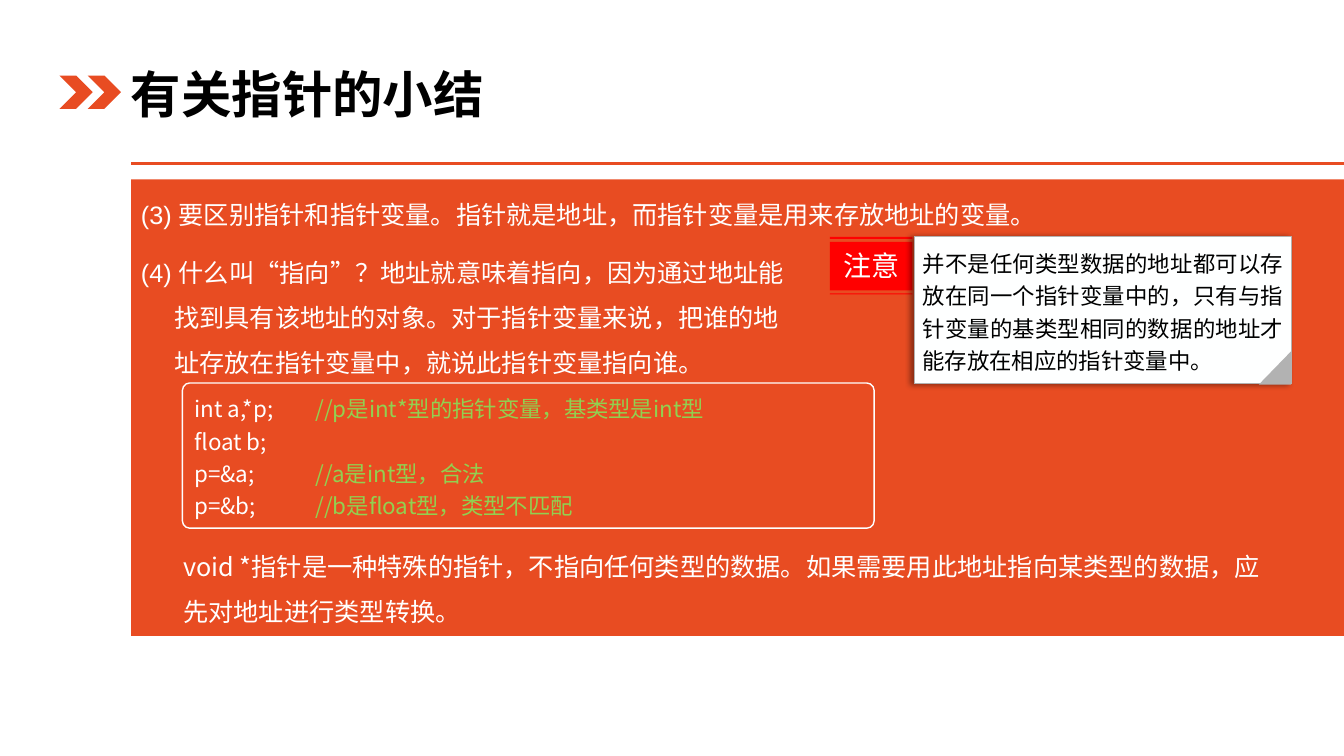
from lxml import etree
from pptx import Presentation
from pptx import util as u
from pptx.dml import color
from pptx.enum import shapes, text
from pptx.oxml import ns

theme = {
    "accent": "E84C22", "white": "FFFFFF", "paper": "FEFFFF", "black": "000000",
    "alert": "FF0000", "gray": "B2B2B2", "comment": "92D050",
    "latin": "Arial", "cjk": "Noto Sans CJK SC",
    "title": 36, "label": 20, "body": 18, "small": 16,
}
SHAPE, ALIGN, ANCHOR = shapes.MSO_SHAPE, text.PP_ALIGN, text.MSO_ANCHOR


def paint(part, fill=None, line=None, width=1):
    """Set fill and outline; None leaves them empty."""
    part.shadow.inherit = False
    if fill:
        part.fill.solid()
        part.fill.fore_color.rgb = color.RGBColor.from_string(theme[fill])
    else:
        part.fill.background()
    if line:
        part.line.color.rgb = color.RGBColor.from_string(theme[line])
        part.line.width = u.Pt(width)
    else:
        part.line.fill.background()


def write(part, paragraphs, size, font="cjk", bold=False, frame={}, layout={}):
    """Fill a shape with paragraphs, each a list of (text, colour) runs."""
    body = part.text_frame
    for name, value in {"word_wrap": True, "vertical_anchor": ANCHOR.TOP, **frame}.items():
        setattr(body, name, value)
    for i, runs in enumerate(paragraphs):
        paragraph = body.add_paragraph() if i else body.paragraphs[0]
        for name, value in {"alignment": ALIGN.LEFT, **layout}.items():
            setattr(paragraph, name, value)
        for words, tone in runs:
            run = paragraph.add_run()
            run.text = words
            style = {"size": u.Pt(theme[size]), "name": theme[font], "bold": bold}
            for name, value in style.items():
                setattr(run.font, name, value)
            run.font.color.rgb = color.RGBColor.from_string(theme[tone])
            east_asian = etree.SubElement(run.font._element, ns.qn("a:ea"))
            east_asian.set("typeface", theme["cjk"])


deck = Presentation()
deck.slide_width, deck.slide_height = u.Inches(13.33), u.Inches(7.5)
slide = deck.slides.add_slide(deck.slide_layouts[6])
canvas = slide.shapes
spaced = {"line_spacing": 1.5, "space_after": u.Pt(6)}

# Rule under the title
rule = canvas.add_connector(shapes.MSO_CONNECTOR.STRAIGHT, u.Inches(1.3), u.Inches(1.62),
                            u.Inches(13.33), u.Inches(1.62))
rule.line.color.rgb = color.RGBColor.from_string(theme["accent"])
rule.line.width = u.Pt(2.25)
etree.SubElement(rule._element.spPr, ns.qn("a:effectLst"))

# Orange panel with point 3
panel = canvas.add_shape(SHAPE.RECTANGLE, u.Inches(1.3), u.Inches(1.78),
                         u.Inches(12.03), u.Inches(4.53))
paint(panel, "accent")
write(panel, [[("(3) 要区别指针和指针变量。指针就是地址，而指针变量是用来存放地址的变量。", "white")]],
      "body", "latin", layout=spaced)

# Title with double chevron
title = canvas.add_textbox(u.Inches(1.2), u.Inches(0.53), u.Inches(5.94), u.Inches(0.79))
write(title, [[("有关指针的小结", "black")]], "title", bold=True,
      frame={"vertical_anchor": ANCHOR.MIDDLE})
for left in (0.59, 0.87):
    chevron = canvas.add_shape(SHAPE.CHEVRON, u.Inches(left), u.Inches(0.75),
                               u.Inches(0.33), u.Inches(0.33))
    paint(chevron, "accent")

# Point 4
pointing = canvas.add_textbox(u.Inches(1.3), u.Inches(2.35), u.Inches(6.67), u.Inches(1.46))
write(pointing, [[("(4) 什么叫“指向”？地址就意味着指向，因为通过地址能找到具有该地址的对象。"
                   "对于指针变量来说，把谁的地址存放在指针变量中，就说此指针变量指向谁。", "white")]],
      "body", "latin", layout=spaced)
hanging = pointing.text_frame.paragraphs[0]._p.get_or_add_pPr()
hanging.set("marL", str(u.Inches(0.33)))
hanging.set("indent", str(-u.Inches(0.33)))

# Red ribbon: a band between two thin stripes
left, right = u.Inches(8.23), u.Inches(9.05)
ribbon_path = canvas.build_freeform(left, u.Inches(2.91), scale=1.0)
for i, (top, bottom) in enumerate([(2.91, 2.92), (2.4, 2.88), (2.35, 2.37)]):
    top, bottom = u.Inches(top), u.Inches(bottom)
    if i:
        ribbon_path.move_to(left, top)
    ribbon_path.add_line_segments([(right, top), (right, bottom), (left, bottom)], close=True)
ribbon = ribbon_path.convert_to_shape()
paint(ribbon, "alert")
write(ribbon, [[("注意", "paper")]], "label", frame={"vertical_anchor": ANCHOR.MIDDLE},
      layout={"alignment": ALIGN.CENTER})

# Note card with shadow and folded corner
note = canvas.add_shape(SHAPE.RECTANGLE, u.Inches(9.07), u.Inches(2.35),
                        u.Inches(3.74), u.Inches(1.46))
paint(note, "paper", "gray", 0.75)
shadow = etree.SubElement(note._element.spPr.find(ns.qn("a:effectLst")), ns.qn("a:outerShdw"),
                          blurRad=str(u.Pt(4)), dist=str(u.Pt(3)), dir="10800000",
                          algn="r", rotWithShape="0")
shadow_color = etree.SubElement(shadow, ns.qn("a:srgbClr"), val=theme["black"])
etree.SubElement(shadow_color, ns.qn("a:alpha"), val="40000")
write(note, [[("并不是任何类型数据的地址都可以存放在同一个指针变量中的，"
               "只有与指针变量的基类型相同的数据的地址才能存放在相应的指针变量中。", "black")]],
      "small", "latin",
      frame={f"margin_{side}": u.Inches(0.08) for side in ("left", "top", "right", "bottom")},
      layout={"alignment": ALIGN.JUSTIFY, "line_spacing": 1.2, "space_after": u.Pt(6)})
fold = canvas.add_shape(SHAPE.RIGHT_TRIANGLE, u.Inches(12.48), u.Inches(3.49),
                        u.Inches(0.33), u.Inches(0.32))
fold.rotation = 270
paint(fold, "gray")

# Code sample, comments lined up at a tab stop
code = canvas.add_shape(SHAPE.ROUNDED_RECTANGLE, u.Inches(1.81), u.Inches(3.8),
                        u.Inches(6.86), u.Inches(1.44))
code.adjustments[0] = 0.05
paint(code, line="white")
write(code, [
    [("int a,*p;\t\t", "white"), ("//p是int*型的指针变量，基类型是int型", "comment")],
    [("float b;", "white")],
    [("p=&a;\t\t", "white"), ("//a是int型，合法", "comment")],
    [("p=&b;\t\t", "white"), ("//b是float型，类型不匹配", "comment")],
], "small", layout={"line_spacing": 1.2})
for statement in code.text_frame.paragraphs:
    stops = etree.SubElement(statement._p.get_or_add_pPr(), ns.qn("a:tabLst"))
    for stop in (1, 1.2):
        etree.SubElement(stops, ns.qn("a:tab"), pos=str(u.Inches(stop)), algn="l")

# Remark on void pointers
remark = canvas.add_textbox(u.Inches(1.72), u.Inches(5.27), u.Inches(11.09), u.Inches(1.01))
write(remark, [[("void *指针是一种特殊的指针，不指向任何类型的数据。"
                 "如果需要用此地址指向某类型的数据，应先对地址进行类型转换。", "white")]],
      "body", layout={"line_spacing": 1.5})

deck.save("out.pptx")
